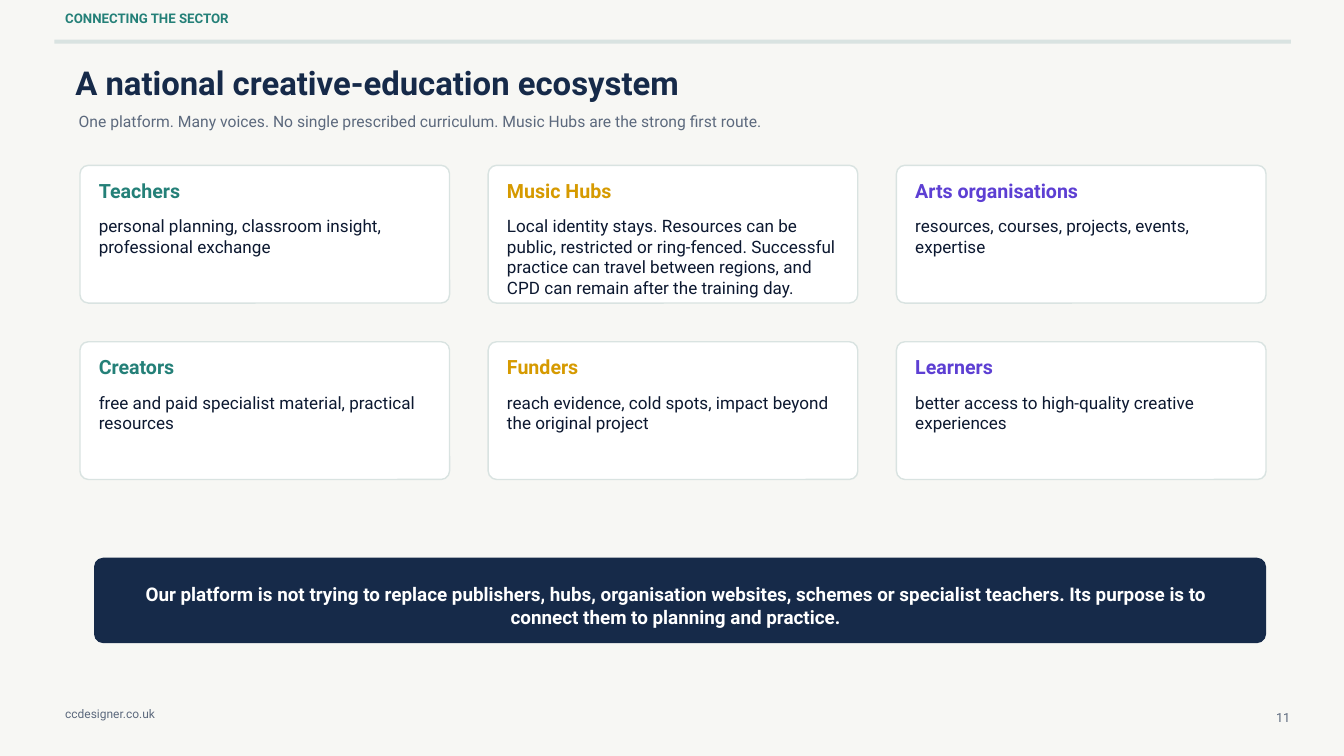
"""Build the slide on a national creative-education ecosystem."""
from typing import NamedTuple

from pptx import Presentation
from pptx import util as u
from pptx.dml.color import RGBColor
from pptx.enum import shapes, text

NAVY, INK, GREY = "162A49", "0C1830", "5C697D"
TEAL, GOLD, VIOLET = "248078", "D69A00", "5D3FD3"
MIST, PAPER, WHITE = "D9E3E1", "F7F7F4", "FFFFFF"
LEFT, CENTER, RIGHT = text.PP_ALIGN.LEFT, text.PP_ALIGN.CENTER, text.PP_ALIGN.RIGHT


class Box(NamedTuple):
    left: float
    top: float
    width: float
    height: float


class Style(NamedTuple):
    size: float
    leading: float
    color: str
    bold: bool = False
    align: text.PP_ALIGN = LEFT


class Audience(NamedTuple):
    name: str
    benefit: str


AUDIENCES = [
    Audience("Teachers", "personal planning, classroom insight, professional exchange"),
    Audience("Music Hubs", "Local identity stays. Resources can be public, restricted or "
             "ring-fenced. Successful practice can travel between regions, and CPD can "
             "remain after the training day."),
    Audience("Arts organisations", "resources, courses, projects, events, expertise"),
    Audience("Creators", "free and paid specialist material, practical resources"),
    Audience("Funders", "reach evidence, cold spots, impact beyond the original project"),
    Audience("Learners", "better access to high-quality creative experiences"),
]
COLUMN_COLORS = [TEAL, GOLD, VIOLET]
CARD = Box(1.19, 2.46, 5.5, 2.05)
COLUMN_STEP, ROW_STEP = 6.075, 2.625
CORNER = 0.125


def paint(color_format, color: str) -> None:
    color_format.rgb = RGBColor.from_string(color)


def inches(box: Box) -> list:
    return [u.Inches(value) for value in box]


def apply(target, values: dict) -> None:
    for attribute, value in values.items():
        setattr(target, attribute, value)


def write(holder, wording: str, style: Style) -> None:
    frame = holder.text_frame
    apply(frame, {
        "text": wording, "word_wrap": True,
        "auto_size": text.MSO_AUTO_SIZE.NONE,
        "vertical_anchor": text.MSO_ANCHOR.TOP,
        "margin_left": 0, "margin_top": 0, "margin_right": 0, "margin_bottom": 0,
    })
    paragraph = frame.paragraphs[0]
    apply(paragraph, {"alignment": style.align, "line_spacing": u.Pt(style.leading),
                      "space_before": u.Pt(0)})
    font = paragraph.runs[0].font
    apply(font, {"name": "Roboto", "size": u.Pt(style.size), "bold": style.bold})
    paint(font.color, style.color)


def add_label(slide, box: Box, wording: str, style: Style) -> None:
    write(slide.shapes.add_textbox(*inches(box)), wording, style)


def add_panel(slide, box: Box, fill: str, line: str = "", corner: float = 0) -> None:
    kind = shapes.MSO_SHAPE.ROUNDED_RECTANGLE if corner else shapes.MSO_SHAPE.RECTANGLE
    panel = slide.shapes.add_shape(kind, *inches(box))
    panel.shadow.inherit = False
    panel.fill.solid()
    paint(panel.fill.fore_color, fill)
    if corner:
        panel.adjustments[0] = corner / box.height
    if line:
        paint(panel.line.color, line)
        panel.line.width = u.Pt(1.5)
    else:
        panel.line.fill.background()


def add_card(slide, index: int, audience: Audience) -> None:
    row, column = divmod(index, len(COLUMN_COLORS))
    left, top = CARD.left + column * COLUMN_STEP, CARD.top + row * ROW_STEP
    add_panel(slide, CARD._replace(left=left, top=top), WHITE, MIST, CORNER)
    add_label(slide, Box(left + 0.28, top + 0.2, 4.93, 0.49), audience.name,
              Style(21, 25.2, COLUMN_COLORS[column], True))
    add_label(slide, Box(left + 0.28, top + 0.75, 4.93, 1.19), audience.benefit,
              Style(18.3, 21.9, INK))


def main() -> None:
    deck = Presentation()
    apply(deck, {"slide_width": u.Inches(20), "slide_height": u.Inches(11.25)})
    slide = deck.slides.add_slide(deck.slide_layouts[5])
    slide.background.fill.solid()
    paint(slide.background.fill.fore_color, PAPER)

    add_panel(slide, Box(0.81, 0.59, 18.4, 0.06), MIST)
    add_label(slide, Box(0.97, 0.15, 9.3, 0.36), "CONNECTING THE SECTOR",
              Style(14.2, 17.1, TEAL, True))
    add_label(slide, Box(18.82, 10.56, 0.38, 0.31), "11",
              Style(13.5, 16.2, GREY, align=RIGHT))
    add_label(slide, Box(0.97, 10.52, 3.3, 0.31), "ccdesigner.co.uk",
              Style(12.8, 15.3, GREY))

    title = slide.shapes.title
    apply(title, dict(zip(Box._fields, inches(Box(1.12, 0.93, 13.8, 0.72)))))
    write(title, "A national creative-education ecosystem", Style(35.2, 42.3, NAVY, True))
    add_label(slide, Box(1.17, 1.67, 17.25, 0.28),
              "One platform. Many voices. No single prescribed curriculum. "
              "Music Hubs are the strong first route.", Style(16.8, 20.1, GREY))

    for index, audience in enumerate(AUDIENCES):
        add_card(slide, index, audience)

    add_panel(slide, Box(1.41, 8.31, 17.42, 1.25), NAVY, NAVY, CORNER)
    add_label(slide, Box(1.8, 8.67, 16.5, 0.7),
              "Our platform is not trying to replace publishers, hubs, organisation websites, "
              "schemes or specialist teachers. Its purpose is to connect them to planning "
              "and practice.", Style(20.2, 24.3, WHITE, True, CENTER))
    deck.save("out.pptx")


if __name__ == "__main__":
    main()
